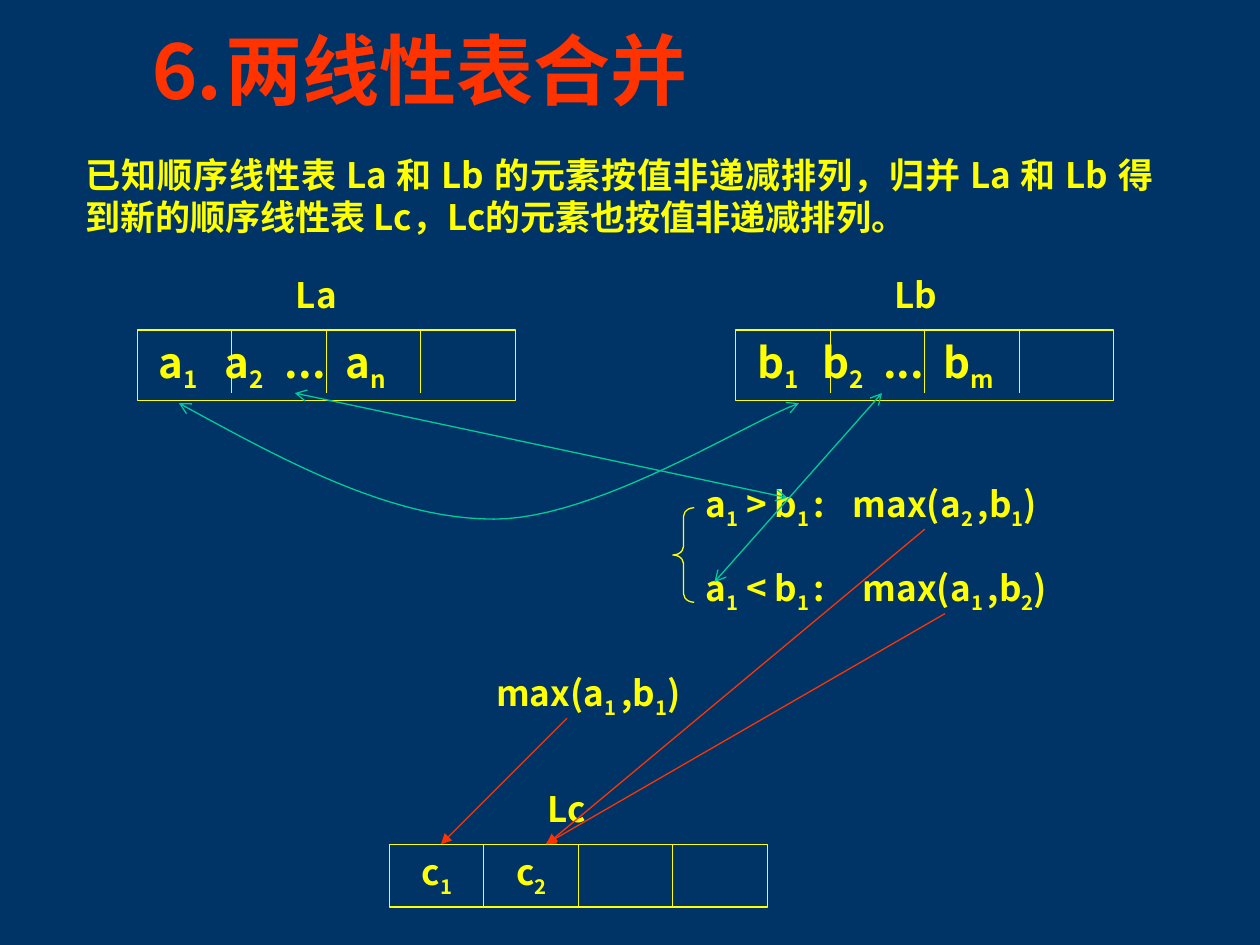
from lxml import etree
from pptx import Presentation
from pptx.dml.color import RGBColor
from pptx.enum.shapes import MSO_CONNECTOR as Link, MSO_SHAPE as Kind
from pptx.enum.text import MSO_ANCHOR as Anchor, MSO_AUTO_SIZE as Fit, PP_ALIGN as Align
from pptx.oxml.ns import qn
from pptx.util import Inches, Pt

FACE = "Noto Sans CJK SC"
NAVY, RED, YELLOW, GREEN = "003366", "FF3300", "FFFF00", "00CC99"


def color(text):
    return RGBColor.from_string(text)


def bend(p0, p1, p2, p3, steps=24):
    """Points along a cubic curve, without the first."""
    for i in range(1, steps + 1):
        t = i / steps
        u = 1 - t
        yield tuple(u**3 * a + 3 * u * u * t * b + 3 * u * t * t * c + t**3 * d
                    for a, b, c, d in zip(p0, p1, p2, p3))


class Board:
    def __init__(self, deck):
        self.slide = deck.slides.add_slide(deck.slide_layouts[5])
        self.shapes = self.slide.shapes
        fill = self.slide.background.fill
        fill.solid()
        fill.fore_color.rgb = color(NAVY)

    def letter(self, shape, text, size=20, ink=YELLOW, stops=(), left=0.1):
        """Underscores set off subscripts: a_1_ puts 1 below the line."""
        frame = shape.text_frame
        frame.word_wrap = True
        frame.auto_size = Fit.NONE
        frame.vertical_anchor = Anchor.TOP
        frame.margin_left = Inches(left)
        para = frame.paragraphs[0]
        para.alignment = Align.JUSTIFY
        if stops:
            tabs = etree.SubElement(para._p.get_or_add_pPr(), qn("a:tabLst"))
            for stop in stops:
                etree.SubElement(tabs, qn("a:tab"), pos=str(Inches(stop)), algn="l")
        for i, part in enumerate(text.split("_")):
            if not part:
                continue
            run = para.add_run()
            run.text = part
            font = run.font
            font.name, font.size, font.bold = FACE, Pt(size), True
            font.color.rgb = color(ink)
            props = run._r.get_or_add_rPr()
            etree.SubElement(props, qn("a:ea"), typeface=FACE)
            if i % 2:
                props.set("baseline", "-25000")

    def title(self, text, x, y, w, h):
        shape = self.shapes.title
        shape.left, shape.top, shape.width, shape.height = map(Inches, (x, y, w, h))
        self.letter(shape, text, 44, RED)

    def label(self, text, x, y, w, h=0.48):
        self.letter(self.shapes.add_textbox(*map(Inches, (x, y, w, h))), text)

    def shape(self, kind, x, y, w, h):
        shape = self.shapes.add_shape(kind, *map(Inches, (x, y, w, h)))
        shape.shadow.inherit = False
        shape.fill.background()
        self.stroke(shape, YELLOW)
        return shape

    def stroke(self, shape, ink, head=None, tail=None):
        shape.line.color.rgb = color(ink)
        shape.line.width = Pt(0.75)
        line = shape.line._get_or_add_ln()
        for end, style in (("a:headEnd", head), ("a:tailEnd", tail)):
            if style:
                etree.SubElement(line, qn(end), type=style)

    def line(self, x1, y1, x2, y2, ink=YELLOW, head=None, tail=None):
        link = self.shapes.add_connector(Link.STRAIGHT, *map(Inches, (x1, y1, x2, y2)))
        self.stroke(link, ink, head, tail)
        etree.SubElement(link._element.spPr, qn("a:effectLst"))

    def curve(self, start, *parts):
        trace = self.shapes.build_freeform(*map(Inches, start))
        for part in parts:
            trace.add_line_segments([tuple(map(Inches, p)) for p in bend(start, *part)], close=False)
            start = part[-1]
        shape = trace.convert_to_shape()
        shape.shadow.inherit = False
        shape.fill.background()
        self.stroke(shape, GREEN, "arrow", "arrow")

    def array(self, name, x, y, h, text=""):
        """A named row of four cells."""
        self.label(name, x + 1.16, y - 0.5, 0.58, 0.44)
        box = self.shape(Kind.RECTANGLE, x, y, 3, h)
        if text:
            self.letter(box, text, 24, stops=(0.52, 1, 1.48), left=0.17)
        for i in range(1, 4):
            self.line(x + 0.75 * i, y, x + 0.75 * i, y + 0.5)


def main():
    deck = Presentation()
    deck.slide_width, deck.slide_height = Inches(10), Inches(7.5)
    board = Board(deck)

    # Heading and task
    board.title("⒍两线性表合并", 1.08, 0.13, 7.33, 0.84)
    board.label("已知顺序线性表 La 和 Lb 的元素按值非递减排列，归并 La 和 Lb "
                "得到新的顺序线性表 Lc，Lc的元素也按值非递减排列。", 0.58, 1.17, 8.67, 0.77)

    # The three lists
    board.array("La", 1.09, 2.62, 0.56, "a_1_\ta_2_\t...\ta_n_")
    board.array("Lb", 5.84, 2.62, 0.56, "b_1_\tb_2_\t...\tb_m_")
    board.array("Lc", 3.09, 6.7, 0.5)
    for i in (1, 2):
        board.label(f"c_{i} _", 2.5 + 0.75 * i, 6.7, 0.5)

    # The two cases
    board.shape(Kind.LEFT_BRACE, 5.34, 4.03, 0.17, 0.75).adjustments[0] = 0.4
    for sign, y in ((">", 3.78), ("<", 4.45)):
        board.label(f"a_1_ {sign} b_1 _:", 5.5, y, 1.33)
    for i, j, x, y in ((1, 1, 3.84, 5.28), (2, 1, 6.67, 3.78), (1, 2, 6.75, 4.45)):
        board.label(f"max(a_{i} _,b_{j}_)", x, y, 1.67)

    # Comparisons
    board.curve((1.42, 3.2), ((2.26, 3.66), (3.1, 4.12), (3.92, 4.12)),
                ((4.74, 4.12), (5.93, 3.35), (6.34, 3.2)))
    for ends in ((2.34, 3.12, 6.25, 3.95), (5.67, 4.62, 7, 3.12)):
        board.line(*ends, GREEN, "arrow", "arrow")

    # Results moved into Lc
    for ends in ((4.5, 5.7, 3.5, 6.7), (7.34, 4.2, 4.34, 6.7), (7.5, 4.87, 4.33, 6.7)):
        board.line(*ends, RED, tail="triangle")

    deck.save("out.pptx")


if __name__ == "__main__":
    main()
